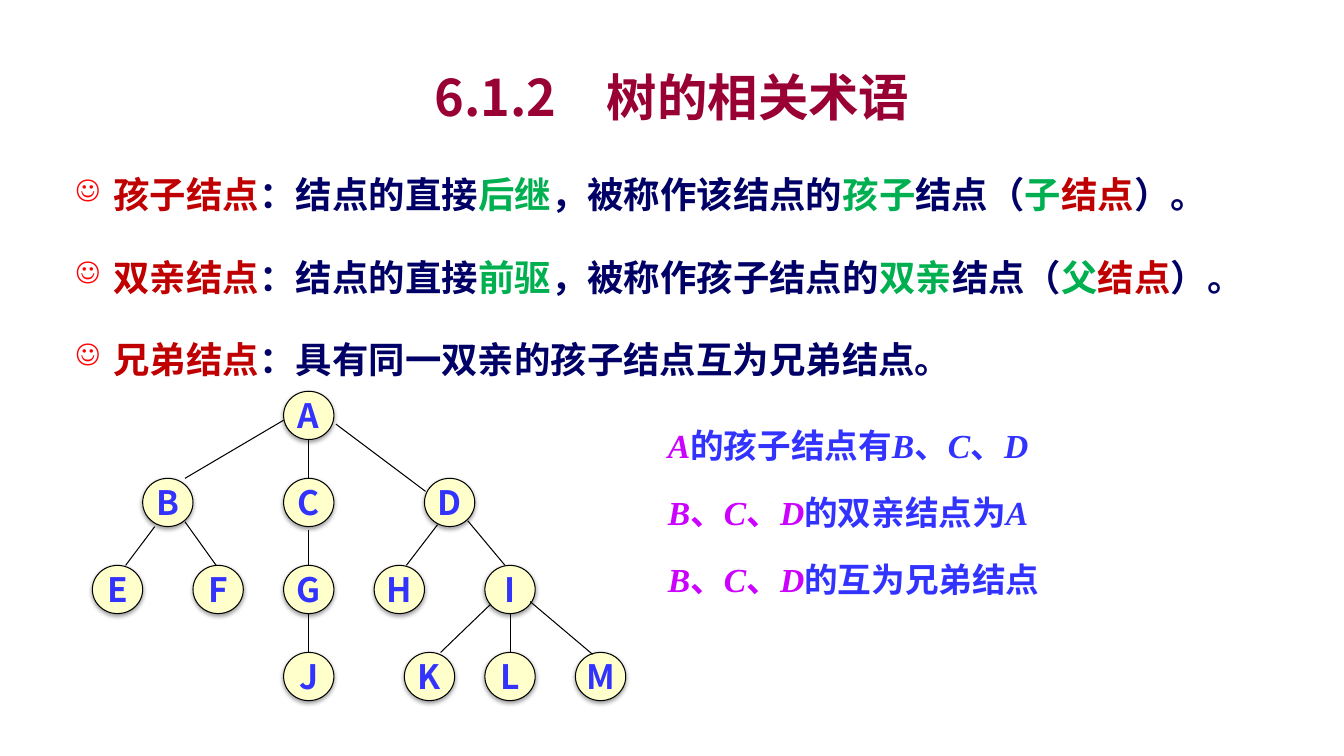
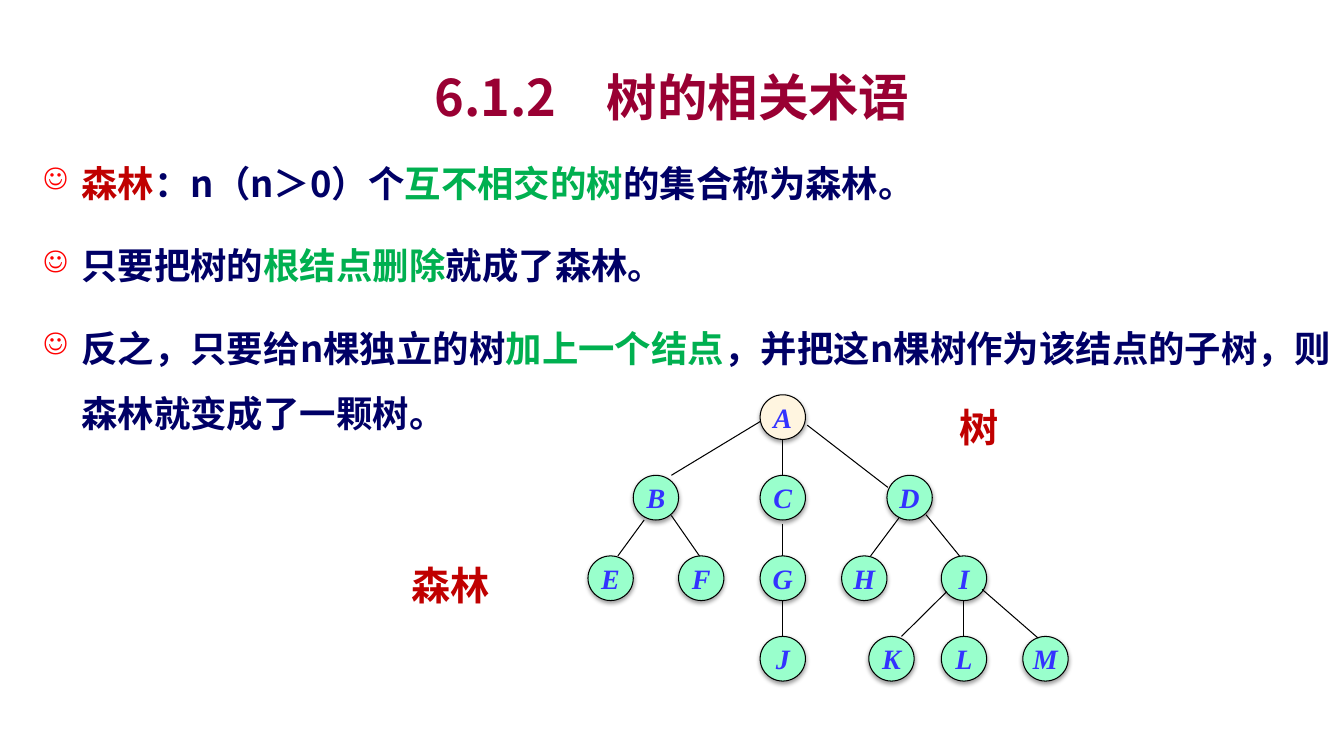
from itertools import groupby

from lxml import etree
from pptx import Presentation
from pptx.dml.color import RGBColor
from pptx.enum import shapes, text
from pptx.oxml.ns import qn
from pptx.util import Pt

# Shared style
SANS, SERIF = "Noto Sans CJK SC", "Times New Roman"
TITLE, NAVY, RED, GREEN = "990033", "000066", "C00000", "00B050"
BLUE, VIOLET, BLACK, SMILEY = "3333FF", "CC00FF", "000000", "FF0000"
CREAM, MINT, IVORY = "FFFFCC", "99FFCC", "FFF5E0"

# Tree: columns in grid units, rows counted from the root
NODE_UNITS = 5
TREE_UNITS = 53
TREE_ROWS = 4
NODES = {
    "A": (19, 0),
    "B": (5, 1), "C": (19, 1), "D": (33, 1),
    "E": (0, 2), "F": (10, 2), "G": (19, 2), "H": (28, 2), "I": (39, 2),
    "J": (19, 3), "K": (31, 3), "L": (39, 3), "M": (48, 3),
}
# Edges: parent, child, and where each end sits as fractions of its node
EDGES = [
    ("A", "B", (0, 0.6), (0.84, 0)),
    ("A", "C", (0.5, 1), (0.5, 0)),
    ("A", "D", (1.04, 0.68), (0.02, 0.27)),
    ("B", "E", (0.24, 1), (0.66, 0)),
    ("B", "F", (0.84, 0.9), (0.46, 0)),
    ("C", "G", (0.5, 1.08), (0.5, 0)),
    ("D", "H", (0.26, 0.96), (0.64, 0)),
    ("D", "I", (0.86, 0.88), (0.4, 0)),
    ("G", "J", (0.5, 1), (0.5, 0)),
    ("I", "K", (0.12, 0.8), (0.72, 0)),
    ("I", "L", (0.5, 1), (0.5, 0)),
    ("I", "M", (0.9, 0.75), (0.34, 0.04)),
]


def rgb(hex_colour):
    return RGBColor.from_string(hex_colour)


def sub(parent, tag, **attributes):
    return etree.SubElement(parent, qn(tag), attributes)


def set_font(paragraph, size, colour, face=SANS, italic=None):
    font = paragraph.font
    font.name, font.size, font.bold, font.italic = face, Pt(size), True, italic
    font.color.rgb = rgb(colour)
    sub(font._element, "a:ea", typeface=SANS)


def add_run(paragraph, words, colour=None, italic=None):
    run = paragraph.add_run()
    run.text = words
    # East Asian face, so that Chinese characters use the same font
    if colour:
        run.font.color.rgb = rgb(colour)
    if italic is not None:
        run.font.italic = italic


def add_box(slide, left, top, width, height, wrap=True):
    frame = slide.shapes.add_textbox(Pt(left), Pt(top), Pt(width), Pt(height)).text_frame
    frame.word_wrap = wrap
    return frame


def add_title(slide, words):
    frame = add_box(slide, 72, 42, 816, 54)
    frame.vertical_anchor = text.MSO_ANCHOR.MIDDLE
    heading = frame.paragraphs[0]
    heading.alignment = text.PP_ALIGN.CENTER
    set_font(heading, 36, TITLE)
    add_run(heading, words)


def add_definitions(slide, left, top, width, height, definitions):
    """Smiley-bulleted statements; each one is a list of (words, colour)."""
    frame = add_box(slide, left, top, width, height)
    for index, statement in enumerate(definitions):
        item = frame.add_paragraph() if index else frame.paragraphs[0]
        item.line_spacing = 1.5
        item.space_before = Pt(6 if index else 0)
        item.space_after = Pt(6)
        properties = item._p.get_or_add_pPr()
        properties.set("marL", str(Pt(27)))
        properties.set("indent", str(-Pt(27)))
        sub(sub(properties, "a:buClr"), "a:srgbClr", val=SMILEY)
        sub(properties, "a:buSzPct", val="80000")
        sub(properties, "a:buChar", char="☺")
        set_font(item, 26, NAVY)
        for words, colour in statement:
            add_run(item, words, colour)


def add_relations(slide, left, top, width, step, relations):
    """One line per relation; node letters are italic."""
    for index, relation in enumerate(relations):
        frame = add_box(slide, left, top + index * step, width, 36)
        line = frame.paragraphs[0]
        set_font(line, 24, BLUE, SERIF)
        for words, colour in relation:
            for is_letter, characters in groupby(words, str.isascii):
                add_run(line, "".join(characters), colour, is_letter)


def add_node(slide, left, top, width, height, letter, fill, size, face, italic):
    node = slide.shapes.add_shape(
        shapes.MSO_SHAPE.OVAL, Pt(left), Pt(top), Pt(width), Pt(height))
    node.fill.solid()
    node.fill.fore_color.rgb = rgb(fill)
    node.line.color.rgb = rgb(BLACK)
    node.line.width = Pt(0.75)
    # Soft shadow below the node
    node.shadow.inherit = False
    effects = node._element.spPr.find(qn("a:effectLst"))
    shadow = sub(effects, "a:outerShdw", blurRad="40000", dist="20000",
                 dir="5400000", rotWithShape="0")
    sub(sub(shadow, "a:srgbClr", val=BLACK), "a:alpha", val="38000")
    # Letter
    frame = node.text_frame
    frame.word_wrap = False
    frame.vertical_anchor = text.MSO_ANCHOR.MIDDLE
    label = frame.paragraphs[0]
    label.alignment = text.PP_ALIGN.CENTER
    set_font(label, size, BLUE, face, italic)
    add_run(label, letter)


def add_edge(slide, start, end):
    edge = slide.shapes.add_connector(
        shapes.MSO_CONNECTOR.STRAIGHT, *(Pt(value) for value in start + end))
    edge.line.color.rgb = rgb(BLACK)
    edge.line.width = Pt(0.75)
    sub(edge._element.spPr, "a:effectLst")


def add_tree(slide, left, top, width, height, root_fill, fill, size, face, italic=None):
    unit = width / TREE_UNITS
    node_width, node_height = NODE_UNITS * unit, 0.156 * height
    row_step = (height - node_height) / (TREE_ROWS - 1)

    def point(letter, across=0, down=0):
        column, row = NODES[letter]
        return (left + column * unit + across * node_width,
                top + row * row_step + down * node_height)

    for letter in NODES:
        add_node(slide, *point(letter), node_width, node_height, letter,
                 root_fill if letter == "A" else fill, size, face, italic)
    for parent, child, leave, arrive in EDGES:
        add_edge(slide, point(parent, *leave), point(child, *arrive))


def add_label(slide, left, top, width, words):
    label = add_box(slide, left, top, width, 41, wrap=False).paragraphs[0]
    set_font(label, 28, RED)
    add_run(label, words)


def new_slide(deck):
    slide = deck.slides.add_slide(deck.slide_layouts[6])
    add_title(slide, "6.1.2　树的相关术语")
    return slide


def build_family_slide(deck):
    slide = new_slide(deck)
    add_definitions(slide, 47, 104, 865, 166, [
        [("孩子结点", RED), ("：结点的直接", None), ("后继", GREEN),
         ("，被称作该结点的", None), ("孩子", GREEN), ("结点（", None),
         ("子", GREEN), ("结点", RED), ("）。", None)],
        [("双亲结点", RED), ("：结点的直接", None), ("前驱", GREEN),
         ("，被称作孩子结点的", None), ("双亲", GREEN), ("结点（", None),
         ("父", GREEN), ("结点", RED), ("）。", None)],
        [("兄弟结点", RED), ("：具有同一双亲的孩子结点互为兄弟结点。", None)],
    ])
    add_relations(slide, 470, 300, 358, 48, [
        [("A", VIOLET), ("的孩子结点有B、C、D", None)],
        [("B、C、D", VIOLET), ("的双亲结点为A", None)],
        [("B、C、D", VIOLET), ("的互为兄弟结点", None)],
    ])
    add_tree(slide, 66, 279.5, 381, 221, CREAM, CREAM, 24, SANS)


def build_forest_slide(deck):
    slide = new_slide(deck)
    add_definitions(slide, 24, 96, 936, 174, [
        [("森林", RED), ("：n（n＞0）个", None), ("互不相交的树", GREEN),
         ("的集合称为森林。", None)],
        [("只要把树的", None), ("根结点删除", GREEN), ("就成了森林。", None)],
        [("反之，只要给n棵独立的树", None), ("加上一个结点", GREEN),
         ("，并把这n棵树作为该结点的子树，则森林就变成了一颗树。", None)],
    ])
    add_tree(slide, 420, 282, 343, 204.5, IVORY, MINT, 20, SERIF, italic=True)
    add_label(slide, 287, 397.5, 71, "森林")
    add_label(slide, 678, 284.5, 43, "树")


def main():
    deck = Presentation()
    deck.slide_width, deck.slide_height = Pt(960), Pt(540)
    build_family_slide(deck)
    build_forest_slide(deck)
    deck.save("out.pptx")


if __name__ == "__main__":
    main()
